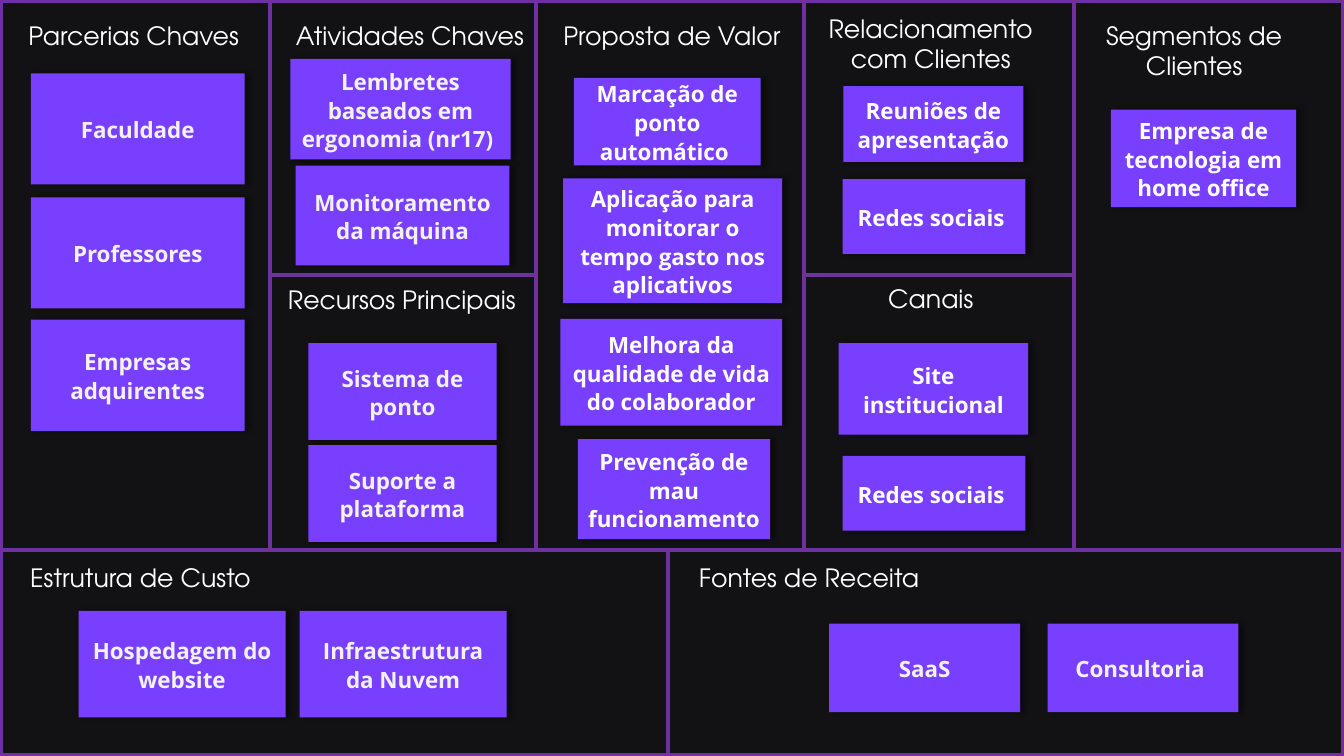
"""Business model canvas whose lengths are percentages of the slide's width and height."""
from lxml import etree
from pptx import Presentation, util as u
from pptx.dml.color import RGBColor
from pptx.enum import shapes, text
from pptx.oxml import parse_xml
from pptx.oxml.ns import nsdecls, qn

BACKDROP, PURPLE, VIOLET, WHITE, PALE = "121214", "7030A0", "793FFF", "FFFFFF", "F2F2F2"
SHADOW = (f'<a:outerShdw {nsdecls("a")} blurRad="50800" dist="38100" dir="0" algn="l" rotWithShape="0">'
          '<a:srgbClr val="000000"><a:alpha val="40000"/></a:srgbClr></a:outerShdw>')

canvas = Presentation()
canvas.slide_width, canvas.slide_height = u.Inches(13.33), u.Inches(7.5)
column, row = canvas.slide_width / 100, canvas.slide_height / 100
slide = canvas.slides.add_slide(canvas.slide_layouts[6])


def colour(fill, value):
    """Make a fill solid in a hex colour."""
    fill.solid()
    fill.fore_color.rgb = RGBColor.from_string(value)


def write(holder, words, font, size, ink, bold=False, anchor=text.MSO_ANCHOR.TOP, spacing=1.0, after=0):
    """Fill a shape with centred, wrapped text."""
    frame = holder.text_frame
    frame.word_wrap, frame.vertical_anchor = True, anchor
    line = frame.paragraphs[0]
    line.alignment, line.line_spacing, line.space_after = text.PP_ALIGN.CENTER, spacing, u.Pt(after)
    run = line.add_run()
    run.text = words
    run.font.name, run.font.size, run.font.bold = font, u.Pt(size), bold
    colour(run.font.fill, ink)


colour(slide.background.fill, BACKDROP)

edges = [20.1, 39.9, 59.8, 79.9]
middle, base, split = 36.4, 72.8, 49.7
dividers = [(edge, 0, edge, base) for edge in edges]
dividers += [(left, middle, right, middle) for left, right in (edges[:2], edges[2:])]
dividers += [(0, base, 100, base), (split, base, split, 100)]
for x1, y1, x2, y2 in dividers:
    divider = slide.shapes.add_connector(
        shapes.MSO_CONNECTOR.STRAIGHT, int(x1 * column), int(y1 * row), int(x2 * column), int(y2 * row))
    divider.line.width = u.Pt(3)
    colour(divider.line.fill, PURPLE)
    etree.SubElement(divider._element.spPr, qn("a:effectLst"))

border = slide.shapes.add_shape(
    shapes.MSO_SHAPE.RECTANGLE, 0, 0, canvas.slide_width, canvas.slide_height)
border.shadow.inherit = False
border.fill.background()
border.line.width = u.Pt(4.5)
colour(border.line.fill, PURPLE)

sections = [
    ("Parcerias Chaves", (0, 2, 19.9, 5.3), PALE, [
        ("Faculdade", 2.3, 9.7, 15.9, 14.7),
        ("Professores", 2.3, 26.1, 15.9, 14.7),
        ("Empresas adquirentes", 2.3, 42.3, 15.9, 14.7)]),
    ("Atividades Chaves", (19.65, 2, 21.7, 5.3), PALE, [
        ("Lembretes baseados em ergonomia (nr17) ", 21.6, 7.8, 16.4, 13.3),
        ("Monitoramento da máquina", 22, 21.9, 15.9, 13.2)]),
    ("Recursos Principais", (19.05, 36.9, 21.7, 5.3), PALE, [
        ("Sistema de ponto", 22.95, 45.4, 14, 12.8),
        ("Suporte a plataforma", 22.95, 58.9, 14, 12.8)]),
    ("Proposta de Valor", (39.3, 2, 21.4, 5.3), WHITE, [
        ("Marcação de ponto automático\u00a0", 42.7, 10.3, 13.9, 11.6),
        ("Aplicação para monitorar o tempo gasto nos aplicativos", 41.9, 23.6, 16.3, 16.5),
        ("Melhora da qualidade de vida do colaborador", 41.7, 42.2, 16.5, 14.1),
        ("Prevenção de mau funcionamento", 43, 58.1, 14.3, 13.2)]),
    ("Relacionamento com Clientes", (59.2, 1.1, 20.1, 9.5), WHITE, [
        ("Reuniões de apresentação", 62.75, 11.4, 13.4, 10),
        ("Redes sociais ", 62.7, 23.7, 13.6, 9.9)]),
    ("Canais", (63.1, 36.8, 12.3, 5.3), WHITE, [
        ("Site institucional", 62.4, 45.4, 14.1, 12.1),
        ("Redes sociais ", 62.7, 60.3, 13.6, 9.9)]),
    ("Segmentos de Clientes", (77.95, 2, 21.8, 9.5), WHITE, [
        ("Empresa de tecnologia em home office", 82.65, 14.5, 13.8, 12.9)]),
    ("Estrutura de Custo", (-1.35, 73.7, 23.6, 5.3), PALE, [
        ("Hospedagem do website", 5.85, 80.8, 15.4, 14.1),
        ("Infraestrutura da Nuvem", 22.3, 80.8, 15.4, 14.1)]),
    ("Fontes de Receita", (48.7, 73.7, 23, 5.3), PALE, [
        ("SaaS", 61.7, 82.5, 14.2, 11.7),
        ("Consultoria ", 77.95, 82.5, 14.2, 11.7)]),
]
for heading, (x, y, w, h), ink, cards in sections:
    title = slide.shapes.add_textbox(int(x * column), int(y * row), int(w * column), int(h * row))
    write(title, heading, "TeX Gyre Adventor", 18, WHITE)
    for idea, x, y, w, h in cards:
        card = slide.shapes.add_shape(
            shapes.MSO_SHAPE.RECTANGLE, int(x * column), int(y * row), int(w * column), int(h * row))
        colour(card.fill, VIOLET)
        card.line.fill.background()
        card.shadow.inherit = False
        card._element.spPr.find(qn("a:effectLst")).append(parse_xml(SHADOW))
        write(card, idea, "Open Sans", 16, ink, bold=True,
              anchor=text.MSO_ANCHOR.MIDDLE, spacing=1.07, after=8)

canvas.save("out.pptx")
